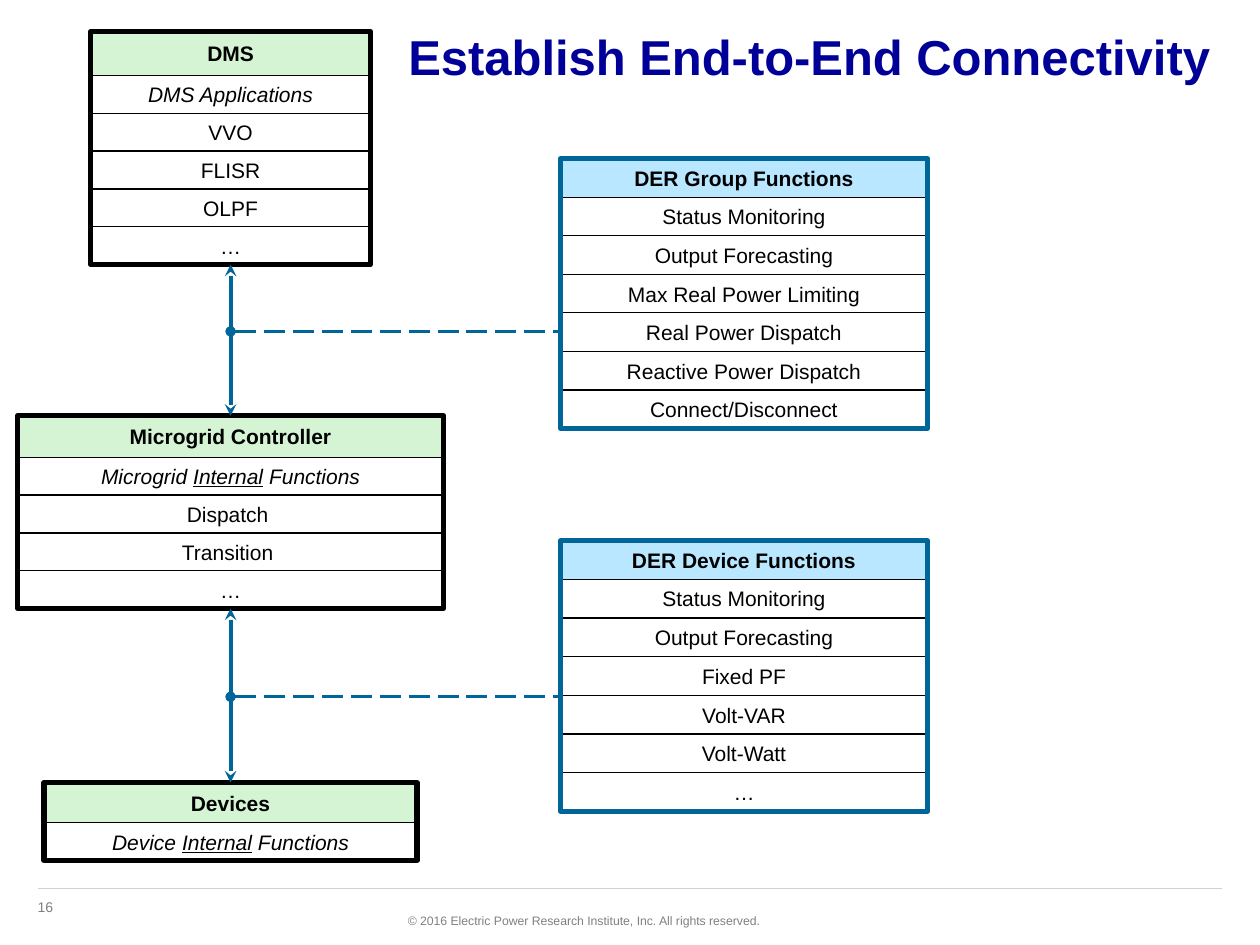
import pptx
import pptx.util
import pptx.dml.color
import pptx.enum.dml
import pptx.enum.shapes
import pptx.enum.text
import lxml.etree
from pptx.util import Inches

ALIGN = pptx.enum.text.PP_ALIGN
ANCHOR = pptx.enum.text.MSO_ANCHOR
RECT = pptx.enum.shapes.MSO_SHAPE.RECTANGLE
DASH = pptx.enum.dml.MSO_LINE.LONG_DASH
BLACK, WHITE, GREY, TEAL = "000000", "FFFFFF", "808080", "006699"
GREEN, BLUE, NAVY = "D4F4D4", "B8E7FF", "000099"


def color(value):
    return pptx.dml.color.RGBColor.from_string(value)


def write(sp, text, size=12, fill=BLACK, bold=False, italic=False,
          align=ALIGN.LEFT, anchor=ANCHOR.TOP, wrap=True):
    tf = sp.text_frame
    tf.word_wrap = wrap
    tf.vertical_anchor = anchor
    p = tf.paragraphs[0]
    p.alignment = align
    for i, part in enumerate(text.split("_")):
        r = p.add_run()
        r.text = part
        r.font.name = "Arial"
        r.font.size = pptx.util.Pt(size)
        r.font.bold = bold
        r.font.italic = italic
        r.font.underline = i % 2 == 1
        r.font.color.rgb = color(fill)


def add_rect(s, x, y, w, h, line, width, fill=None):
    sp = s.shapes.add_shape(RECT, Inches(x), Inches(y), Inches(w), Inches(h))
    sp.shadow.inherit = False
    if fill:
        sp.fill.solid()
        sp.fill.fore_color.rgb = color(fill)
    else:
        sp.fill.background()
    sp.line.color.rgb = color(line)
    sp.line.width = pptx.util.Pt(width)
    return sp


def add_line(s, x1, y1, x2, y2, line, width, dash=None, head=None, tail=None):
    c = s.shapes.add_connector(pptx.enum.shapes.MSO_CONNECTOR.STRAIGHT,
                               Inches(x1), Inches(y1), Inches(x2), Inches(y2))
    c.line.color.rgb = color(line)
    c.line.width = pptx.util.Pt(width)
    if dash:
        c.line.dash_style = dash
    ln = c.line._get_or_add_ln()
    for tag, kind in (("a:headEnd", head), ("a:tailEnd", tail)):
        if kind:
            lxml.etree.SubElement(ln, pptx.oxml.ns.qn(tag), type=kind)
    lxml.etree.SubElement(c._element.spPr, pptx.oxml.ns.qn("a:effectLst"))


def add_stack(s, x, y, w, h, heading, rows, row_h, fill, border, subtitle=False):
    top = h - len(rows) * row_h
    sp = add_rect(s, x, y, w, top, BLACK, 0.75, fill)
    write(sp, heading, bold=True, align=ALIGN.CENTER, anchor=ANCHOR.MIDDLE)
    for i, text in enumerate(rows):
        sp = add_rect(s, x, y + top + i * row_h, w, row_h, BLACK, 0.75, WHITE)
        write(sp, text, italic=subtitle and i == 0,
              align=ALIGN.CENTER, anchor=ANCHOR.MIDDLE)
    add_rect(s, x, y, w, h, border, 3)


def add_system(s, x, y, w, h, heading, rows):
    add_stack(s, x, y, w, h, heading, rows, 0.3, GREEN, BLACK, subtitle=True)


def add_functions(s, x, y, w, h, heading, rows):
    add_stack(s, x, y, w, h, heading, rows, h / (len(rows) + 1), BLUE, TEAL)


def add_link(s, x, top, bottom, branch_y, branch_x):
    add_line(s, x, top, x, bottom, TEAL, 2.25, head="stealth", tail="stealth")
    add_line(s, x, branch_y, branch_x, branch_y, TEAL, 1.5, DASH, head="oval")


def add_title(s, x, y, w, h, text):
    sp = s.shapes.title
    sp.left, sp.top, sp.width, sp.height = map(Inches, (x, y, w, h))
    write(sp, text, size=28, fill=NAVY, bold=True)


def add_footer(s, x, y, w, number, notice):
    add_line(s, x, y, x + w, y, "D1D1D1", 0.75)
    sp = s.shapes.add_textbox(Inches(x - 0.1), Inches(y + 0.03), Inches(0.66), Inches(0.24))
    write(sp, number, size=8, fill=GREY)
    sp = s.shapes.add_textbox(Inches(x + 2.78), Inches(y + 0.15), Inches(3.05), Inches(0.22))
    write(sp, notice, size=7, fill=GREY, align=ALIGN.RIGHT, wrap=False)


def main():
    prs = pptx.Presentation()
    prs.slide_width, prs.slide_height = Inches(10), Inches(7.5)
    s = prs.slides.add_slide(prs.slide_layouts[5])
    add_title(s, 3.14, 0.16, 6.65, 0.8, "Establish End-to-End Connectivity")
    add_footer(s, 0.3, 7.05, 9.4, "16",
               "© 2016 Electric Power Research Institute, Inc. All rights reserved.")
    add_system(s, 0.72, 0.25, 2.22, 1.85, "DMS",
               ["DMS Applications", "VVO", "FLISR", "OLPF", "…"])
    add_system(s, 0.14, 3.3, 3.38, 1.53, "Microgrid Controller",
               ["Microgrid _Internal_ Functions", "Dispatch ", "Transition ", "…"])
    add_system(s, 0.35, 6.21, 2.96, 0.62, "Devices", ["Device _Internal_ Functions"])
    add_link(s, 1.83, 2.1, 3.3, 2.63, 4.45)
    add_link(s, 1.83, 4.83, 6.21, 5.53, 4.45)
    add_functions(s, 4.45, 1.26, 2.91, 2.14, "DER Group Functions",
                  ["Status Monitoring", "Output Forecasting", "Max Real Power Limiting",
                   "Real Power Dispatch", "Reactive Power Dispatch", "Connect/Disconnect"])
    add_functions(s, 4.45, 4.29, 2.91, 2.15, "DER Device Functions",
                  ["Status Monitoring", "Output Forecasting", "Fixed PF",
                   "Volt-VAR", "Volt-Watt", "…"])
    prs.save("out.pptx")


if __name__ == "__main__":
    main()
